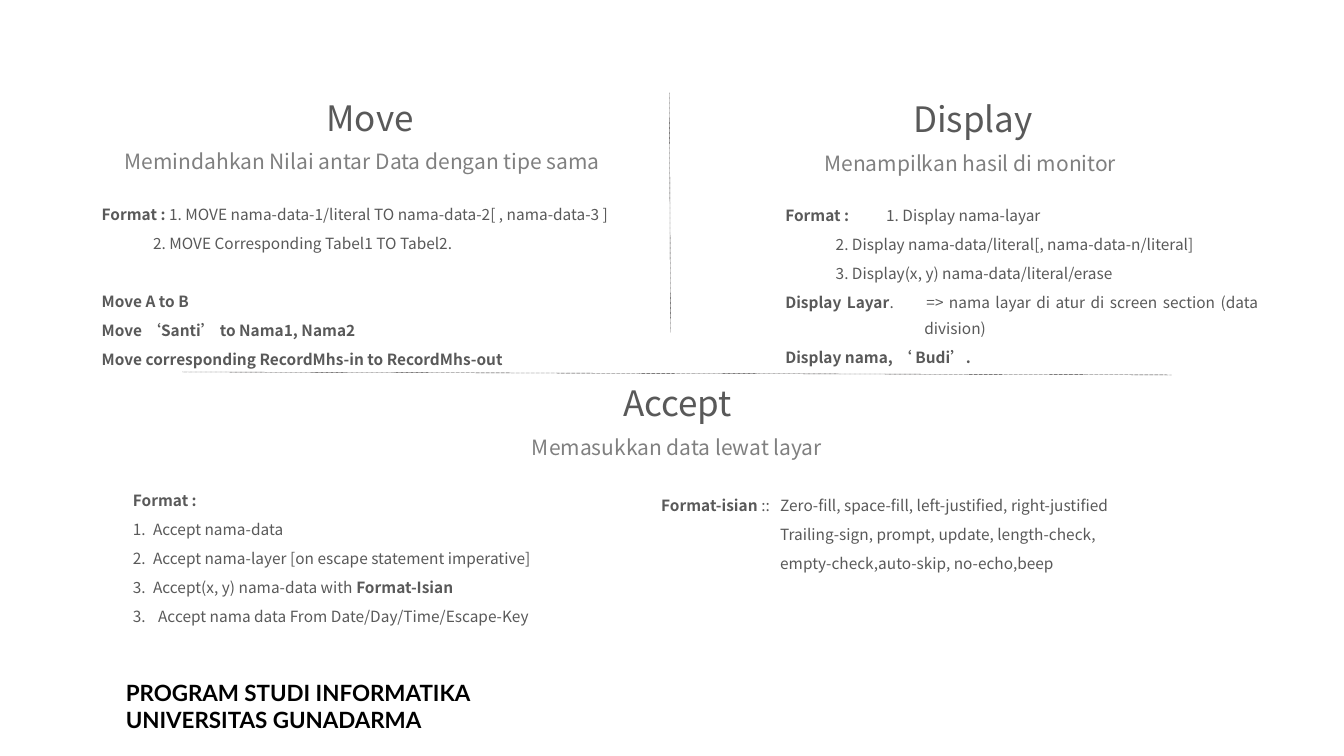
from pptx import Presentation
from pptx.dml.color import RGBColor
from pptx.enum.dml import MSO_LINE
from pptx.enum.shapes import MSO_CONNECTOR
from pptx.enum.text import MSO_AUTO_SIZE, PP_ALIGN
from pptx.oxml.ns import qn
from pptx.util import Inches, Pt
from lxml.etree import SubElement

FONT = "Noto Sans CJK SC"
BODY, MUTED, RULE, BLACK = "595959", "808080", "3B3838", "000000"


def rgb(color):
    """Turn a hex string into a colour."""
    return RGBColor.from_string(color)


def style_run(r, size, color, bold=False, font=FONT):
    """Format one run, for Latin and East Asian glyphs alike."""
    r.font.size = Pt(size)
    r.font.bold = bold
    r.font.name = font
    r.font.color.rgb = rgb(color)
    SubElement(r._r.get_or_add_rPr(), qn("a:ea")).set("typeface", font)


def add_box(s, left, top, width, height):
    """Add an empty wrapping text box and return its text frame."""
    box = s.shapes.add_textbox(Inches(left), Inches(top), Inches(width), Inches(height))
    tf = box.text_frame
    tf.word_wrap = True
    tf.auto_size = MSO_AUTO_SIZE.SHAPE_TO_FIT_TEXT
    return tf


def add_lines(s, left, top, width, height, lines, size, color, **look):
    """Add a text box with one plain paragraph per line."""
    tf = add_box(s, left, top, width, height)
    tf.text = "\n".join(lines)
    for p in tf.paragraphs:
        p.alignment = look.get("align", PP_ALIGN.LEFT)
        style_run(p.runs[0], size, color, look.get("bold", False), look.get("font", FONT))


def add_heading(s, title_at, subtitle_at, title, subtitle):
    """Add a command name with its description below."""
    add_lines(s, *title_at, [title], 25, BODY, align=PP_ALIGN.CENTER)
    add_lines(s, *subtitle_at, [subtitle], 15, MUTED, align=PP_ALIGN.CENTER)


def para(*runs, margin=0, hang=0, tab=None, start=None, before=2.2, align=PP_ALIGN.JUSTIFY):
    """Describe a body paragraph; a run starting with * is bold."""
    return dict(runs=runs, margin=margin, hang=hang, tab=tab, start=start,
                before=before, align=align)


def add_body(s, left, top, width, height, paras):
    """Add a text box with the described body paragraphs."""
    tf = add_box(s, left, top, width, height)
    for i, item in enumerate(paras):
        p = tf.add_paragraph() if i else tf.paragraphs[0]
        p.alignment = item["align"]
        p.line_spacing = 1.4
        p.space_before = Pt(item["before"] if i else 0)
        pPr = p._p.get_or_add_pPr()
        pPr.set("marL", str(Inches(item["margin"])))
        pPr.set("indent", str(-Inches(item["hang"])))
        if item["start"]:
            number = SubElement(pPr, qn("a:buAutoNum"))
            number.set("type", "arabicPeriod")
            if item["start"] > 1 and item["hang"] > 0.2:
                number.set("startAt", str(item["start"]))
        if item["tab"]:
            stop = SubElement(SubElement(pPr, qn("a:tabLst")), qn("a:tab"))
            stop.set("pos", str(Inches(item["tab"])))
            stop.set("algn", "l")
        for text in item["runs"]:
            r = p.add_run()
            r.text = text.removeprefix("*")
            style_run(r, 11, BODY, text.startswith("*"))


def add_rule(s, x1, y1, x2, y2):
    """Add a thin dotted divider."""
    line = s.shapes.add_connector(MSO_CONNECTOR.STRAIGHT, Inches(x1), Inches(y1),
                                  Inches(x2), Inches(y2))
    line.line.color.rgb = rgb(RULE)
    line.line.width = Pt(0.25)
    line.line.dash_style = MSO_LINE.ROUND_DOT
    SubElement(line._element.spPr, qn("a:effectLst"))


def main():
    """Build the slide and save it."""
    prs = Presentation()
    prs.slide_width, prs.slide_height = Inches(13.33), Inches(7.5)
    s = prs.slides.add_slide(prs.slide_layouts[6])

    add_lines(s, 1.15, 6.69, 6.56, 0.64,
              ["PROGRAM STUDI INFORMATIKA", "UNIVERSITAS GUNADARMA"],
              16, BLACK, bold=True, font="Lato")

    add_heading(s, (1.22, 0.91, 4.9, 0.52), (0.91, 1.42, 5.37, 0.35),
                "Move", "Memindahkan Nilai antar Data dengan tipe sama")
    add_body(s, 0.91, 1.91, 5.55, 1.81, [
        para("*Format :", " 1. MOVE nama-data-1/literal TO nama-data-2[ , nama-data-3 ]"),
        para("2. MOVE Corresponding Tabel1 TO Tabel2.", margin=0.51),
        para("*Move A to B", before=23),
        para("*Move ‘Santi’ to Nama1, Nama2"),
        para("*Move corresponding RecordMhs-in to RecordMhs-out"),
    ])

    add_heading(s, (7.2, 0.92, 4.9, 0.52), (7.64, 1.44, 3.97, 0.35),
                "Display", "Menampilkan hasil di monitor")
    add_body(s, 7.69, 1.92, 4.89, 1.78, [
        para("*Format :", "\t1. Display nama-layar", tab=1.05),
        para("\t2. Display nama-data/literal[, nama-data-n/literal]", tab=1.05),
        para("\t3. Display(x, y) nama-data/literal/erase", tab=1.05),
        para("*Display Layar", ".\t=> nama layar di atur di screen section (data division)",
             margin=1.38, hang=1.38, tab=1.27),
        para("*Display nama, ‘ Budi’.", align=PP_ALIGN.LEFT),
    ])

    add_rule(s, 11.62, 3.72, 1.81, 3.69)
    add_rule(s, 6.64, 0.92, 6.65, 3.3)

    add_heading(s, (4.27, 3.74, 4.9, 0.52), (4.03, 4.26, 5.37, 0.35),
                "Accept", "Memasukkan data lewat layar")
    add_body(s, 1.22, 4.75, 5.84, 1.81, [
        para("*Format :"),
        para("Accept nama-data", margin=0.2, hang=0.2, start=1),
        para("Accept nama-layer [on escape statement imperative]",
             margin=0.2, hang=0.2, start=2),
        para("3.\tAccept(x, y) nama-data with ", "*Format-Isian", margin=0.2, hang=0.2),
        para("Accept nama data From Date/Day/Time/Escape-Key",
             margin=0.25, hang=0.25, start=3),
    ])
    add_body(s, 6.46, 4.8, 6.17, 0.92, [
        para("*Format-isian", " ::\tZero-fill, space-fill, left-justified, right-justified",
             margin=1.18, hang=1.18),
        para("\tTrailing-sign, prompt, update, length-check,", margin=1.18, hang=1.18),
        para("\tempty-check,auto-skip, no-echo,beep", margin=1.18, hang=1.18),
    ])

    prs.save("out.pptx")


if __name__ == "__main__":
    main()
